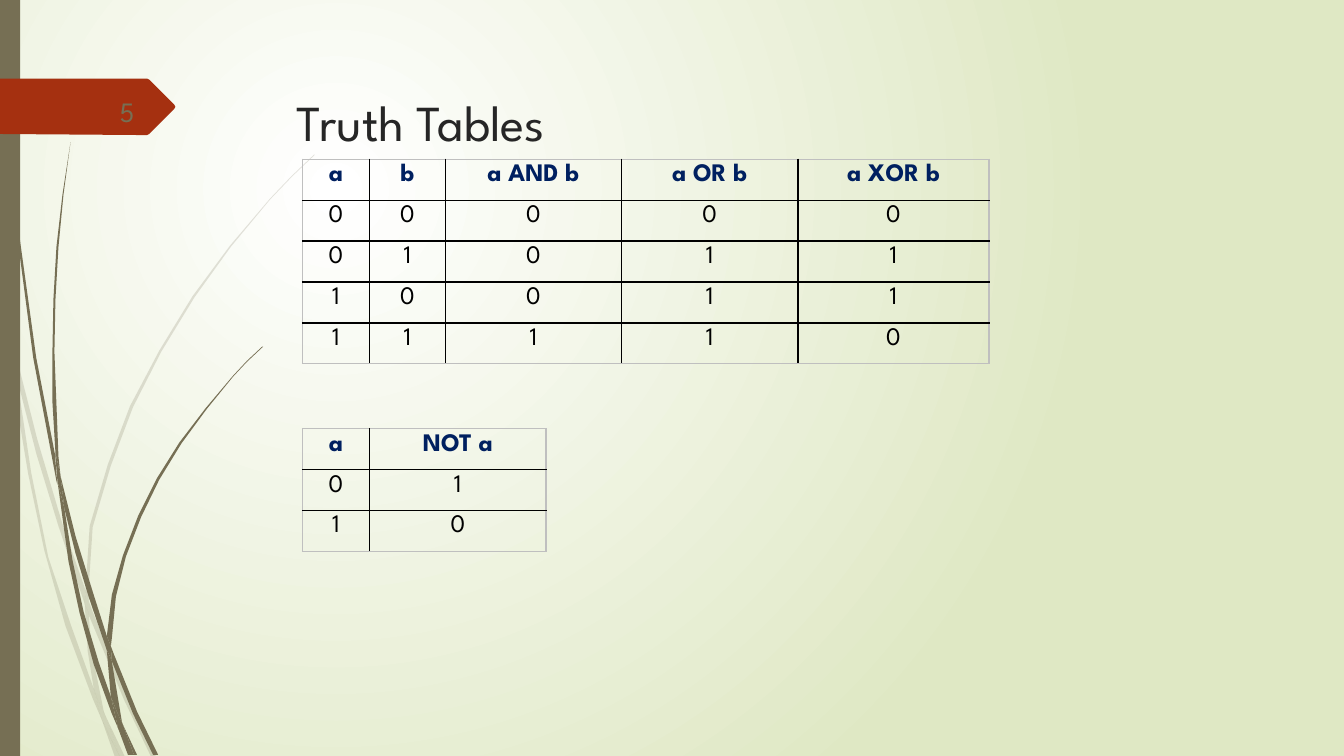
"""Build the Truth Tables slide."""
from lxml.etree import SubElement
from pptx import Presentation
from pptx.dml.color import RGBColor
from pptx.enum.text import MSO_ANCHOR, PP_ALIGN
from pptx.enum.shapes import MSO_SHAPE
from pptx.oxml.ns import qn
from pptx.util import Pt

FONT = "League Spartan"
WHITE = RGBColor(0xFF, 0xFF, 0xFF)
PALE_GREEN = RGBColor(0xDF, 0xE8, 0xC4)
OLIVE = RGBColor(0x76, 0x6F, 0x54)
RUST = RGBColor(0xA5, 0x30, 0x10)
CHARCOAL = RGBColor(0x26, 0x26, 0x26)
NAVY = RGBColor(0x00, 0x20, 0x60)
BLACK = RGBColor(0x00, 0x00, 0x00)
SILVER = RGBColor(0xBF, 0xBF, 0xBF)

OUTLINE_UNIT = Pt(0.72)
FAINT_GRASS = [
    [(11, 350), (9, 322), (0, 282), (0, 299), (10, 344)],
    [(58, 522), (84, 599), (85, 586), (62, 520), (37, 436), (14, 345), (17, 376), (36, 450)],
    [(92, 607), (88, 596), (88, 610), (123, 694), (150, 751), (155, 751), (127, 692)],
    [(119, 751), (124, 751), (105, 711)],
    [(93, 683), (70, 619), (48, 553), (31, 469), (17, 376), (11, 350), (18, 410), (28, 470),
     (44, 546), (65, 621), (92, 693), (101, 714), (99, 707)],
    [(84, 599), (87, 646), (93, 683), (96, 692), (105, 711), (103, 706), (91, 646), (88, 610),
     (88, 608)],
    [(88, 584), (92, 523), (110, 462), (132, 404), (160, 349), (193, 295), (229, 245), (268, 198),
     (290, 175), (312, 154), (312, 153), (289, 175), (268, 197), (228, 244), (191, 294), (158, 348),
     (129, 403), (107, 461), (89, 522), (85, 584), (85, 586), (88, 596)],
    [(101, 714), (114, 751), (119, 751)],
    [(88, 608), (88, 610), (88, 596), (85, 586), (84, 599)],
    [(96, 692), (93, 683), (99, 707), (101, 714), (119, 751), (105, 711)],
]
DARK_GRASS = [
    [(7, 110), (17, 233), (33, 355), (56, 477), (57, 481), (55, 457), (55, 453), (36, 355),
     (19, 232), (8, 109), (5, 48), (4, 0), (3, 0), (4, 48)],
    [(88, 592), (106, 645), (106, 633), (106, 631), (93, 590), (75, 532), (60, 472), (64, 505),
     (75, 549)],
    [(113, 649), (110, 641), (111, 656), (132, 708), (152, 749), (157, 749), (136, 706)],
    [(110, 691), (98, 657), (83, 607), (72, 556), (64, 505), (57, 477), (68, 557), (79, 608),
     (93, 659), (111, 708), (117, 722), (116, 717)],
    [(60, 472), (58, 453), (54, 349), (55, 297), (58, 245), (63, 193), (70, 141), (62, 193),
     (56, 245), (53, 297), (52, 349), (52, 399), (55, 449)],
    [(133, 749), (136, 749), (122, 719)],
    [(57, 477), (64, 505), (60, 472), (55, 449), (55, 453)],
    [(111, 633), (115, 592), (125, 552), (140, 513), (158, 476), (180, 440), (205, 406), (231, 374),
     (245, 359), (261, 344), (260, 344), (245, 358), (231, 373), (204, 405), (178, 439), (156, 474),
     (137, 512), (122, 551), (111, 590), (106, 631), (110, 641)],
    [(117, 722), (127, 749), (131, 749)],
    [(106, 645), (110, 691), (116, 706), (122, 719), (121, 716), (111, 656), (109, 651)],
    [(106, 645), (109, 651), (111, 656), (110, 641), (106, 631)],
    [(116, 706), (110, 691), (116, 717), (117, 722), (130, 749), (133, 749), (122, 719)],
]
NUMBER_TAG = [(0, 78), (146, 78), (148, 79), (173, 104), (174, 106), (173, 108), (148, 133),
              (146, 134), (136, 134), (0, 133)]

LOGIC_ROWS = [
    ["a", "b", "a AND b", "a OR b", "a XOR b"],
    ["0", "0", "0", "0", "0"],
    ["0", "1", "0", "1", "1"],
    ["1", "0", "0", "1", "1"],
    ["1", "1", "1", "1", "0"],
]
NOT_ROWS = [["a", "NOT a"], ["0", "1"], ["1", "0"]]


def paint_background(slide):
    """Fill the slide with a radial white-to-green gradient."""
    fill = slide.background.fill
    fill.gradient()
    for stop, color in zip(fill.gradient_stops, (WHITE, PALE_GREEN)):
        stop.color.rgb = color
    gradient = slide.element.find(".//" + qn("a:gradFill"))
    gradient.remove(gradient.find(qn("a:lin")))
    radial = SubElement(gradient, qn("a:path"), {"path": "circle"})
    SubElement(radial, qn("a:fillToRect"), l="50000", t="50000", r="100000", b="100000")


def paint(shape, color, opacity=100):
    """Give a shape a flat fill with no line or shadow."""
    shape.shadow.inherit = False
    shape.line.fill.background()
    shape.fill.solid()
    shape.fill.fore_color.rgb = color
    if opacity < 100:
        tint = shape.element.spPr.find(".//" + qn("a:srgbClr"))
        SubElement(tint, qn("a:alpha"), val=str(opacity * 1000))


def add_outline(shapes, corners, color, opacity=100):
    """Draw a closed outline through the given corners."""
    builder = shapes.build_freeform(*corners[0], scale=OUTLINE_UNIT)
    builder.add_line_segments(corners[1:], close=True)
    paint(builder.convert_to_shape(), color, opacity)


def add_grass(slide, blades, opacity=100):
    """Draw a group of grass blades."""
    tuft = slide.shapes.add_group_shape()
    for blade in blades:
        add_outline(tuft.shapes, blade, OLIVE, opacity)


def write(paragraph, words, size, color, bold=False):
    """Add one styled run to a paragraph."""
    run = paragraph.add_run()
    run.text = words
    run.font.name = FONT
    run.font.size = Pt(size)
    run.font.bold = bold
    run.font.color.rgb = color


def add_label(slide, bounds, words, size, color, align, anchor, inset_top=3.6):
    """Place a single line of text in a box."""
    frame = slide.shapes.add_textbox(*map(Pt, bounds)).text_frame
    frame.word_wrap = True
    frame.vertical_anchor = anchor
    frame.margin_top = Pt(inset_top)
    frame.paragraphs[0].alignment = align
    write(frame.paragraphs[0], words, size, color)


def add_border(cell, side, color):
    """Draw one side of a cell."""
    line = SubElement(cell._tc.get_or_add_tcPr(), qn("a:ln" + side), w=str(Pt(1)))
    SubElement(SubElement(line, qn("a:solidFill")), qn("a:srgbClr"), val=str(color))


def add_truth_table(slide, top, rows, widths):
    """Add a truth table with a bold navy heading row."""
    row_height = 29.25
    table = slide.shapes.add_table(len(rows), len(widths), Pt(216), Pt(top), Pt(sum(widths)),
                                   Pt(row_height * len(rows))).table
    table.first_row = table.horz_banding = False
    for column, width in zip(table.columns, widths):
        column.width = Pt(width)
    last_row, last_column = len(rows) - 1, len(widths) - 1
    for r, values in enumerate(rows):
        table.rows[r].height = Pt(row_height)
        for c, value in enumerate(values):
            cell = table.cell(r, c)
            outer = {"L": c == 0, "R": c == last_column, "T": r == 0, "B": r == last_row}
            for side, on_edge in outer.items():
                add_border(cell, side, SILVER if on_edge else BLACK)
            cell.fill.background()
            paragraph = cell.text_frame.paragraphs[0]
            paragraph.alignment = PP_ALIGN.CENTER
            write(paragraph, value, 18, BLACK if r else NAVY, bold=r == 0)


def main():
    """Assemble and save the slide."""
    deck = Presentation()
    deck.slide_width, deck.slide_height = Pt(960), Pt(540)
    slide = deck.slides.add_slide(deck.slide_layouts[6])
    paint_background(slide)
    add_grass(slide, FAINT_GRASS, opacity=20)
    add_grass(slide, DARK_GRASS)
    side_bar = slide.shapes.add_shape(MSO_SHAPE.RECTANGLE, 0, 0, Pt(14.4), Pt(540))
    paint(side_bar, OLIVE)
    add_outline(slide.shapes, NUMBER_TAG, RUST)
    add_label(slide, (46.8, 66, 56.2, 26.4), "5", 20, OLIVE, PP_ALIGN.RIGHT, MSO_ANCHOR.MIDDLE)
    add_label(slide, (204.5, 49, 702, 100.8), "Truth Tables", 36, CHARCOAL, PP_ALIGN.LEFT,
              MSO_ANCHOR.TOP, inset_top=16)
    add_truth_table(slide, 113.75, LOGIC_ROWS, [48, 54, 126, 126, 136.5])
    add_truth_table(slide, 306, NOT_ROWS, [48, 126])
    deck.save("out.pptx")


if __name__ == "__main__":
    main()
